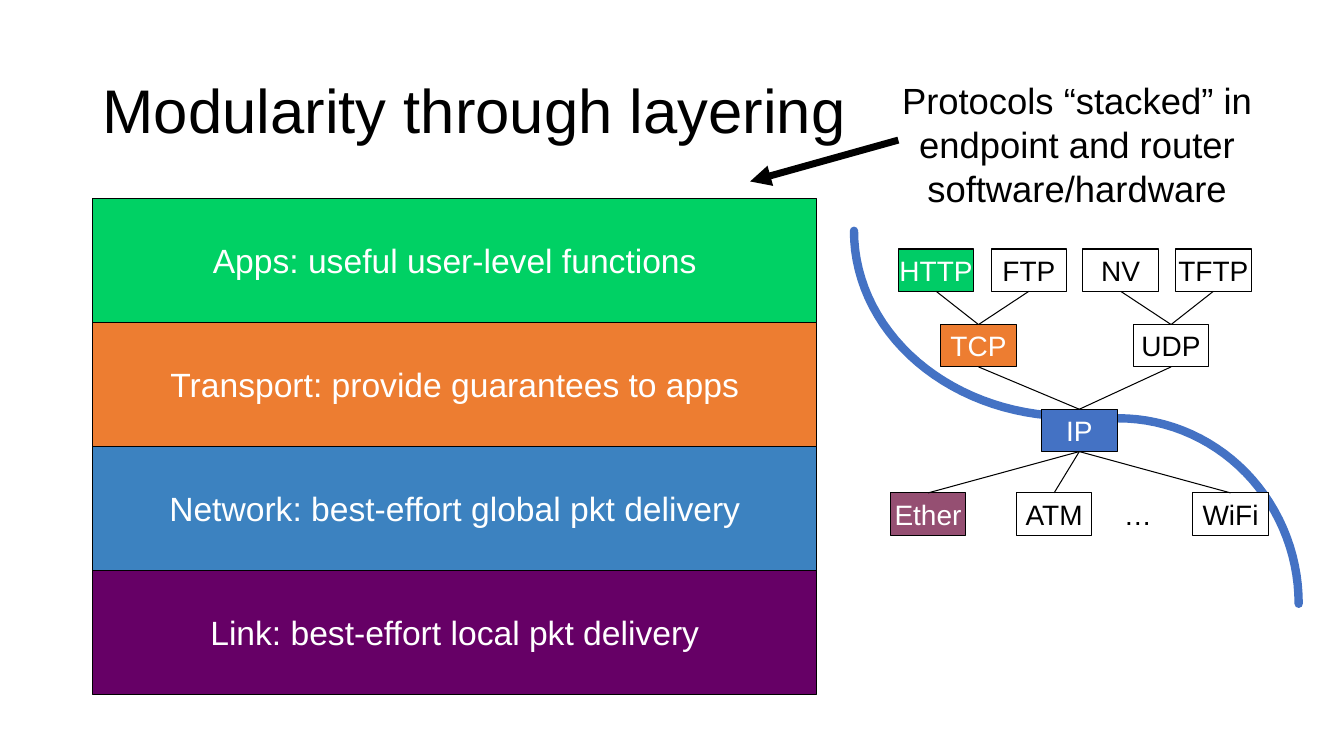
import math
import pptx
import pptx.util
import pptx.dml.color
import pptx.enum.shapes
import pptx.enum.text
import pptx.oxml.ns
import lxml.etree

Inches, Pt = pptx.util.Inches, pptx.util.Pt
RGB = pptx.dml.color.RGBColor
MSO = pptx.enum.shapes.MSO_SHAPE
ALIGN = pptx.enum.text.PP_ALIGN
ANCHOR = pptx.enum.text.MSO_ANCHOR
qn = pptx.oxml.ns.qn

BLACK = RGB(0x00, 0x00, 0x00)
WHITE = RGB(0xFF, 0xFF, 0xFF)
GREEN = RGB(0x00, 0xD1, 0x64)
HTTP_GREEN = RGB(0x00, 0xCC, 0x66)
ORANGE = RGB(0xED, 0x7D, 0x31)
NETWORK_BLUE = RGB(0x3C, 0x82, 0xC0)
BLUE = RGB(0x44, 0x72, 0xC4)
PURPLE = RGB(0x66, 0x00, 0x66)
PLUM = RGB(0x95, 0x4F, 0x72)

prs = pptx.Presentation()
prs.slide_width, prs.slide_height = Inches(13.33), Inches(7.5)
s = prs.slides.add_slide(prs.slide_layouts[6])


def add_text(text, x, y, w, h, size=20, color=BLACK, fill=None, line=None,
             align=ALIGN.CENTER, anchor=ANCHOR.MIDDLE, wrap=False, spacing=None):
    """Place text at x, y in inches, in a rectangle if it has a fill."""
    box = [Inches(v) for v in (x, y, w, h)]
    if fill is None:
        sp = s.shapes.add_textbox(*box)
    else:
        sp = s.shapes.add_shape(MSO.RECTANGLE, *box)
        sp.shadow.inherit = False
        sp.fill.solid()
        sp.fill.fore_color.rgb = fill
        if line is None:
            sp.line.fill.background()
        else:
            sp.line.color.rgb = line
            sp.line.width = Pt(0.75)
    tf = sp.text_frame
    tf.word_wrap, tf.vertical_anchor = wrap, anchor
    p = tf.paragraphs[0]
    p.alignment, p.line_spacing = align, spacing
    r = p.add_run()
    r.text = text
    r.font.name, r.font.size, r.font.color.rgb = "Arial", Pt(size), color
    return sp


def add_line(x1, y1, x2, y2, width=0.75):
    """Draw a black straight connector without a shadow."""
    c = s.shapes.add_connector(pptx.enum.shapes.MSO_CONNECTOR.STRAIGHT,
                               *[Inches(v) for v in (x1, y1, x2, y2)])
    c.line.color.rgb, c.line.width = BLACK, Pt(width)
    lxml.etree.SubElement(c._element.spPr, qn("a:effectLst"))
    return c


# Layer stack
STACK_TOP, LAYER_H = 1.97, 1.23
layers = [
    ("Apps: useful user-level functions", GREEN),
    ("Transport: provide guarantees to apps", ORANGE),
    ("Network: best-effort global pkt delivery", NETWORK_BLUE),
    ("Link: best-effort local pkt delivery", PURPLE),
]
for i, (text, fill) in enumerate(layers):
    add_text(text, 0.92, STACK_TOP + i * LAYER_H, 7.18, LAYER_H,
             size=24, color=WHITE, fill=fill, line=BLACK)

# Title
add_text("Modularity through layering", 0.92, 0.4, 11.96, 1.45, size=44,
         align=ALIGN.LEFT, wrap=True, spacing=0.9)

# Hourglass curves: quarter ellipses given by centre and signed radii
STEPS = 30
for cx, cy, rx, ry in [(10.62, 2.29, -2.15, 1.84), (11.09, 5.99, 1.79, -1.84)]:
    angles = [math.pi / 2 * i / STEPS for i in range(STEPS + 1)]
    points = [(Inches(cx + rx * math.cos(a)), Inches(cy + ry * math.sin(a)))
              for a in angles]
    fb = s.shapes.build_freeform(*points[0])
    fb.add_line_segments(points[1:], close=False)
    sp = fb.convert_to_shape()
    sp.shadow.inherit = False
    sp.fill.background()
    sp.line.color.rgb, sp.line.width = BLUE, Pt(6)
    sp.line._ln.set("cap", "rnd")

# Protocol boxes, row by row
BOX_W, BOX_H = 0.75, 0.42
rows = [
    (2.47, [("HTTP", 8.91), ("FTP", 9.83), ("NV", 10.74), ("TFTP", 11.66)]),
    (3.22, [("TCP", 9.33), ("UDP", 11.24)]),
    (4.06, [("IP", 10.33)]),
    (4.89, [("Ether", 8.83), ("ATM", 10.08), ("…", 10.91), ("WiFi", 11.83)]),
]
fills = {"HTTP": HTTP_GREEN, "TCP": ORANGE, "IP": BLUE, "Ether": PLUM}
boxes = {}
for y, row in rows:
    for name, x in row:
        boxes[name] = add_text(name, x, y, BOX_W, BOX_H,
                               color=WHITE if name in fills else BLACK,
                               fill=fills.get(name, WHITE),
                               line=None if name == "…" else BLACK)

# Links between protocols, from bottom side to top side
links = [("HTTP", "TCP"), ("FTP", "TCP"), ("NV", "UDP"), ("TFTP", "UDP"),
         ("TCP", "IP"), ("UDP", "IP"),
         ("IP", "WiFi"), ("IP", "Ether"), ("IP", "ATM")]
for upper, lower in links:
    c = add_line(0, 0, 1, 1)
    c.begin_connect(boxes[upper], 2)
    c.end_connect(boxes[lower], 0)

# Note and its arrow
add_text("Protocols “stacked” in endpoint and router software/hardware",
         8.56, 0.73, 4.25, 1.41, size=26, anchor=ANCHOR.TOP, wrap=True)
arrow = add_line(8.91, 1.39, 7.44, 1.8, width=5)
lxml.etree.SubElement(arrow.line._ln, qn("a:tailEnd"), type="triangle")

prs.save("out.pptx")
